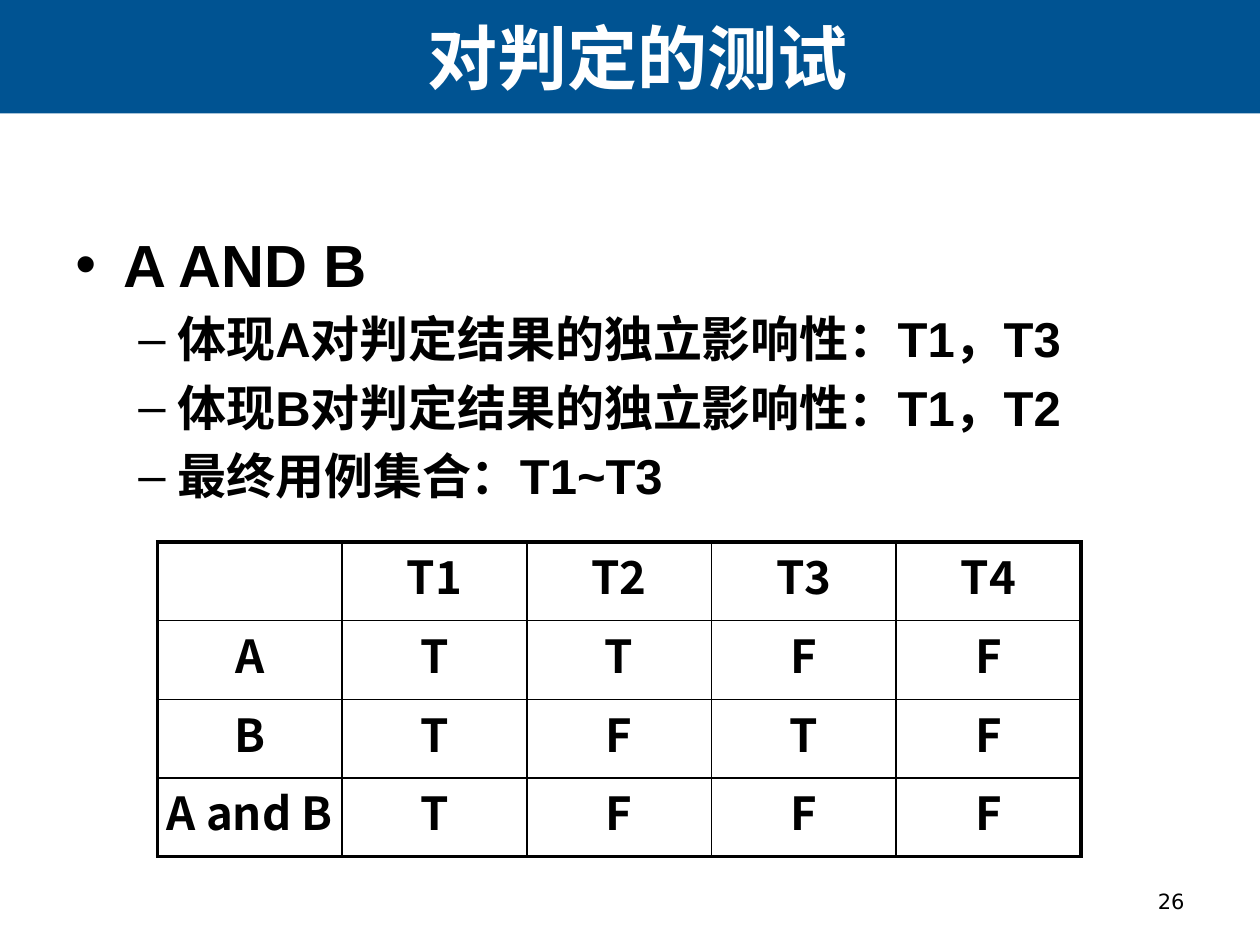
import pptx
import pptx.util
import pptx.dml.color
import pptx.enum.shapes
import pptx.enum.text
import pptx.oxml
import pptx.oxml.ns
from pptx.util import Inches

COLORS = {"banner": "005392", "text": "000000", "title": "FFFFFF"}
CJK_FONT = "Noto Sans CJK SC"
ALIGN = pptx.enum.text.PP_ALIGN
ANCHOR = pptx.enum.text.MSO_ANCHOR
POINTS = [
    (0, "A AND B"),
    (1, "体现A对判定结果的独立影响性：T1，T3"),
    (1, "体现B对判定结果的独立影响性：T1，T2"),
    (1, "最终用例集合：T1~T3"),
]
LEVELS = [
    {"bullet": "•", "margin": 0.38, "hanging": 0.38, "size": 34, "line": 41.5, "before": 0},
    {"bullet": "–", "margin": 0.81, "hanging": 0.31, "size": 28, "line": 33.5, "before": 5.6},
]
TRUTH_TABLE = [
    ["", "T1", "T2", "T3", "T4"],
    ["A", "T", "T", "F", "F"],
    ["B", "T", "F", "T", "F"],
    ["A and B", "T", "F", "F", "F"],
]


def rgb(name):
    return pptx.dml.color.RGBColor.from_string(COLORS[name])


def apply_format(target, values):
    for attribute, value in values.items():
        setattr(target, attribute, value)


def write_text(paragraph, text, size, font=CJK_FONT, color="text", bold=True, align=ALIGN.CENTER):
    paragraph.alignment = align
    run = paragraph.add_run()
    run.text = text
    apply_format(run.font, {"name": font, "size": pptx.util.Pt(size), "bold": bold})
    run.font.color.rgb = rgb(color)
    east_asian = pptx.oxml.parse_xml(
        f'<a:ea {pptx.oxml.ns.nsdecls("a")} typeface="{CJK_FONT}"/>')
    run.font._element.find(pptx.oxml.ns.qn("a:latin")).addnext(east_asian)


def add_banner(slide):
    banner = slide.shapes.add_shape(
        pptx.enum.shapes.MSO_SHAPE.RECTANGLE, 0, 0, Inches(10), Inches(0.9))
    banner.shadow.inherit = False
    banner.fill.solid()
    banner.fill.fore_color.rgb = rgb("banner")
    banner.line.fill.background()
    slide.shapes._spTree.insert(2, banner._element)


def fill_title(slide, text):
    title = slide.shapes.title
    apply_format(title, {"left": Inches(-0.01), "top": Inches(0),
                         "width": Inches(10.01), "height": Inches(0.9)})
    title.text_frame.vertical_anchor = ANCHOR.MIDDLE
    write_text(title.text_frame.paragraphs[0], text, 40, color="title")


def add_text_frame(slide, left, top, width, height, anchor):
    box = slide.shapes.add_textbox(Inches(left), Inches(top), Inches(width), Inches(height))
    apply_format(box.text_frame, {"word_wrap": True, "vertical_anchor": anchor})
    return box.text_frame


def add_bullet(paragraph, bullet, margin, hanging):
    properties = paragraph._p.get_or_add_pPr()
    properties.set("marL", str(Inches(margin)))
    properties.set("indent", str(-Inches(hanging)))
    namespace = pptx.oxml.ns.nsdecls("a")
    properties.append(pptx.oxml.parse_xml(f'<a:buFont {namespace} typeface="Arial"/>'))
    properties.append(pptx.oxml.parse_xml(f'<a:buChar {namespace} char="{bullet}"/>'))


def add_points(slide):
    frame = add_text_frame(slide, 0.5, 1.75, 9, 4.95, ANCHOR.TOP)
    for index, (level, text) in enumerate(POINTS):
        style = LEVELS[level]
        paragraph = frame.add_paragraph() if index else frame.paragraphs[0]
        add_bullet(paragraph, style["bullet"], style["margin"], style["hanging"])
        apply_format(paragraph, {"level": level,
                                 "line_spacing": pptx.util.Pt(style["line"]),
                                 "space_before": pptx.util.Pt(style["before"])})
        write_text(paragraph, text, style["size"], font="Arial", align=ALIGN.JUSTIFY)


def set_borders(cell, outer_edges):
    properties = cell._tc.get_or_add_tcPr()
    for edge, is_outer in outer_edges.items():
        width = pptx.util.Pt(2.25 if is_outer else 1)
        properties.append(pptx.oxml.parse_xml(
            f'<a:{edge} {pptx.oxml.ns.nsdecls("a")} w="{width}"><a:solidFill>'
            f'<a:srgbClr val="{COLORS["text"]}"/></a:solidFill></a:{edge}>'))


def add_truth_table(slide):
    row_count, column_count = len(TRUTH_TABLE), len(TRUTH_TABLE[0])
    table = slide.shapes.add_table(row_count, column_count, Inches(1.25), Inches(4.3),
                                   Inches(7.33), Inches(2.5)).table
    apply_format(table, {"first_row": False, "horz_banding": False})
    for r, values in enumerate(TRUTH_TABLE):
        for c, value in enumerate(values):
            cell = table.cell(r, c)
            set_borders(cell, {"lnL": c == 0, "lnR": c == column_count - 1,
                               "lnT": r == 0, "lnB": r == row_count - 1})
            cell.fill.background()
            apply_format(cell, {"margin_left": 0, "margin_right": 0,
                                "margin_top": 0, "margin_bottom": 0})
            if value:
                write_text(cell.text_frame.paragraphs[0], value, 26)


def add_page_number(slide, number):
    frame = add_text_frame(slide, 7.17, 6.95, 2.33, 0.4, ANCHOR.MIDDLE)
    write_text(frame.paragraphs[0], number, 12, font="DejaVu Sans", bold=False, align=ALIGN.RIGHT)


def main():
    presentation = pptx.Presentation()
    apply_format(presentation, {"slide_width": Inches(10), "slide_height": Inches(7.5)})
    slide = presentation.slides.add_slide(presentation.slide_layouts[5])
    add_banner(slide)
    add_points(slide)
    add_page_number(slide, "26")
    fill_title(slide, " 对判定的测试")
    add_truth_table(slide)
    presentation.save("out.pptx")


if __name__ == "__main__":
    main()
